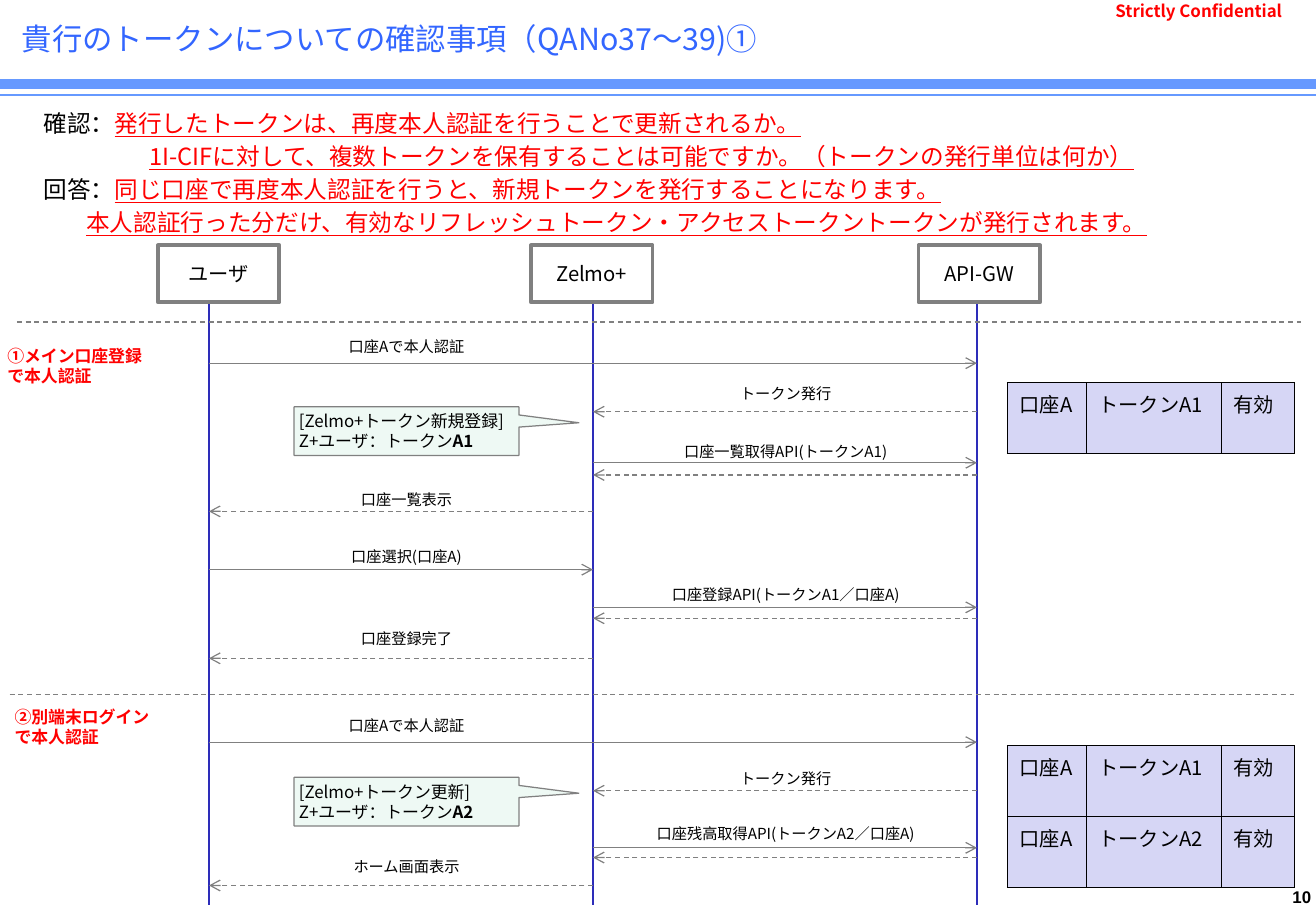
from pptx import Presentation
from pptx.dml.color import RGBColor
from pptx.enum.dml import MSO_LINE
from pptx.enum.shapes import MSO_CONNECTOR, MSO_SHAPE
from pptx.enum.text import MSO_ANCHOR, MSO_AUTO_SIZE, PP_ALIGN
from pptx.oxml.ns import qn
from pptx.util import Inches, Pt
from lxml import etree

STRAIGHT = MSO_CONNECTOR.STRAIGHT
RECTANGLE, CALLOUT = MSO_SHAPE.RECTANGLE, MSO_SHAPE.RECTANGULAR_CALLOUT
DASH = MSO_LINE.DASH
TOP, MIDDLE = MSO_ANCHOR.TOP, MSO_ANCHOR.MIDDLE
LEFT, CENTER, RIGHT, JUSTIFY = PP_ALIGN.LEFT, PP_ALIGN.CENTER, PP_ALIGN.RIGHT, PP_ALIGN.JUSTIFY
NO_FIT = MSO_AUTO_SIZE.NONE

BLACK = RGBColor(0x00, 0x00, 0x00)
WHITE = RGBColor(0xFF, 0xFF, 0xFF)
RED = RGBColor(0xFF, 0x00, 0x00)
GREY = RGBColor(0x80, 0x80, 0x80)
TITLE_BLUE = RGBColor(0x33, 0x66, 0xFF)
RULE_BLUE = RGBColor(0x66, 0x99, 0xFF)
LIFELINE_BLUE = RGBColor(0x2D, 0x2D, 0xB9)
NOTE_GREEN = RGBColor(0xEE, 0xF9, 0xF4)
CELL_LILAC = RGBColor(0xD6, 0xD6, 0xF5)

FONT = "Noto Sans CJK JP"
WIDTH, HEIGHT = 10.83, 7.5
LANE_LEFT, LANE_STEP = 1.72, 3.16
LABEL_LEFT, LABEL_STEP = 2.42, 3.12
LABEL_WIDTH, LABEL_HEIGHT = 1.85, 0.24
USER, WALLET, GATEWAY = range(3)

ACTORS = [("ユーザ", 1.3), ("Zelmo+", 4.37), ("API-GW", 7.56)]
QUESTIONS = [
    ("確認：", "発行したトークンは、再度本人認証を行うことで更新されるか。", 0),
    ("", "1I-CIFに対して、複数トークンを保有することは可能ですか。（トークンの発行単位は何か）", 0.87),
    ("回答：", "同じ口座で再度本人認証を行うと、新規トークンを発行することになります。", 0),
    ("", "本人認証行った分だけ、有効なリフレッシュトークン・アクセストークントークンが発行されます。", 0.35),
]
MESSAGES = [
    (USER, GATEWAY, 2.99, "口座Aで本人認証", 2.73),
    (GATEWAY, WALLET, 3.39, "トークン発行", 3.12),
    (WALLET, GATEWAY, 3.81, "口座一覧取得API(トークンA1)", 3.6),
    (GATEWAY, WALLET, 3.91, "", 0),
    (WALLET, USER, 4.21, "口座一覧表示", 3.99),
    (USER, WALLET, 4.69, "口座選択(口座A)", 4.46),
    (WALLET, GATEWAY, 5, "口座登録API(トークンA1／口座A)", 4.77),
    (GATEWAY, WALLET, 5.09, "", 0),
    (WALLET, USER, 5.42, "口座登録完了", 5.14),
    (USER, GATEWAY, 6.11, "口座Aで本人認証", 5.85),
    (GATEWAY, WALLET, 6.51, "トークン発行", 6.29),
    (WALLET, GATEWAY, 6.98, "口座残高取得API(トークンA2／口座A)", 6.74),
    (GATEWAY, WALLET, 7.06, "", 0),
    (WALLET, USER, 7.29, "ホーム画面表示", 7.01),
]
PHASES = [("①メイン口座登録で本人認証", 0.02, 2.81, 0.14, 2.65),
          ("②別端末ログインで本人認証", 0.08, 5.78, 0.08, 5.72)]
NOTES = [("[Zelmo+トークン新規登録]", "A1", 3.35), ("[Zelmo+トークン更新]", "A2", 6.4)]
TOKEN_TABLES = [(["A1"], 3.15), (["A1", "A2"], 6.14)]


def inches(*lengths):
    return [Inches(length) for length in lengths]


def lane(number):
    return LANE_LEFT + number * LANE_STEP


def style(span, size, color=BLACK, bold=False, underline=False, font=FONT):
    span.font.size, span.font.bold, span.font.underline = Pt(size), bold, underline
    span.font.color.rgb, span.font.name = color, font
    east_asian = etree.Element(qn("a:ea"), typeface=font)
    span.font._element.find(qn("a:latin")).addnext(east_asian)


def set_frame(frame, anchor, inset_x, inset_y, wrap):
    frame.auto_size, frame.word_wrap, frame.vertical_anchor = NO_FIT, wrap, anchor
    frame.margin_left = frame.margin_right = Inches(inset_x)
    frame.margin_top = frame.margin_bottom = Inches(inset_y)


def add_text(page, place, text, size, color=BLACK, bold=False, align=LEFT,
             anchor=TOP, inset=(0.04, 0.04), wrap=True, font=FONT):
    box = page.shapes.add_textbox(*inches(*place))
    set_frame(box.text_frame, anchor, *inset, wrap)
    box.text_frame.text = text
    para = box.text_frame.paragraphs[0]
    para.alignment = align
    style(para.runs[0], size, color, bold, font=font)
    return para


def add_panel(page, kind, place, fill, weight):
    panel = page.shapes.add_shape(kind, *inches(*place))
    panel.shadow.inherit = False
    panel.fill.solid()
    panel.fill.fore_color.rgb = fill
    panel.line.color.rgb, panel.line.width = GREY, Pt(weight)
    set_frame(panel.text_frame, MIDDLE, 0.04, 0.04, False)
    return panel


def add_line(page, start, end, color=GREY, weight=0.75, dashed=False, arrow=False):
    line = page.shapes.add_connector(STRAIGHT, *inches(*start, *end))
    line.line.color.rgb, line.line.width = color, Pt(weight)
    if dashed:
        line.line.dash_style = DASH
    if arrow:
        etree.SubElement(line.line._get_or_add_ln(), qn("a:tailEnd"), type="arrow")
    etree.SubElement(line._element.spPr, qn("a:effectLst"))


def add_title(page):
    title = page.shapes.title
    title.left, title.top, title.width, title.height = inches(0.08, 0.06, 10.38, 0.51)
    set_frame(title.text_frame, MIDDLE, 0.1, 0.05, True)
    title.text_frame.text = "貴行のトークンについての確認事項（QANo37～39)①"
    para = title.text_frame.paragraphs[0]
    para.alignment = LEFT
    style(para.runs[0], 18, TITLE_BLUE)


def add_questions(page):
    box = page.shapes.add_textbox(*inches(0.26, 0.85, 10.32, 0.63))
    frame = box.text_frame
    set_frame(frame, TOP, 0.1, 0.05, True)
    frame.text = "\n".join(lead for lead, _, _ in QUESTIONS)
    for number, (para, (_, body, indent)) in enumerate(zip(frame.paragraphs, QUESTIONS)):
        para.line_spacing = Pt(16.75)
        para.space_before = Pt(2.8 if number else 0)
        para._p.get_or_add_pPr().set("marL", str(Inches(indent)))
        for span in para.runs:
            style(span, 14)
        span = para.add_run()
        span.text = body
        style(span, 14, RED, underline=True)


def add_actor(page, number, name, left):
    add_line(page, (lane(number), 2.49), (lane(number), 7.45), LIFELINE_BLUE)
    head = add_panel(page, RECTANGLE, (left, 2.02, 1, 0.47), WHITE, 2.25)
    head.text_frame.text = name
    para = head.text_frame.paragraphs[0]
    para.alignment = CENTER
    style(para.runs[0], 12)


def add_message(page, source, target, row, text, label_row):
    add_line(page, (lane(source), row), (lane(target), row), dashed=target < source, arrow=True)
    if text:
        left = LABEL_LEFT + min(source, target) * LABEL_STEP
        add_text(page, (left, label_row, LABEL_WIDTH, LABEL_HEIGHT), text, 9,
                 align=CENTER, anchor=MIDDLE, inset=(0, 0), wrap=False)


def add_phase(page, text, left, top, rule_left, rule_row):
    add_line(page, (rule_left, rule_row), (rule_left + 10.57, rule_row), dashed=True)
    para = add_text(page, (left, top, 1.31, 0.34), text, 10, RED, True)
    para.line_spacing = Pt(11.85)


def add_note(page, heading, token, top):
    note = add_panel(page, CALLOUT, (LABEL_LEFT, top, LABEL_WIDTH, 0.4), NOTE_GREEN, 0.75)
    note.adjustments[0], note.adjustments[1] = 0.767, -0.173
    note.text_frame.text = heading + "\nZ+ユーザ：トークン"
    note.text_frame.paragraphs[1].add_run().text = token
    for para in note.text_frame.paragraphs:
        para.alignment, para.line_spacing = LEFT, Pt(11.85)
        for span in para.runs:
            style(span, 10, bold=span.text == token)


def format_cell(cell, text):
    cell.text = text
    cell.fill.solid()
    cell.fill.fore_color.rgb = CELL_LILAC
    style(cell.text_frame.paragraphs[0].runs[0], 12)
    properties = cell._tc.get_or_add_tcPr()
    for position, side in enumerate(("a:lnL", "a:lnR", "a:lnT", "a:lnB")):
        border = etree.Element(qn(side), w=str(Pt(0.5)))
        fill = etree.SubElement(border, qn("a:solidFill"))
        etree.SubElement(fill, qn("a:srgbClr"), val=str(BLACK))
        properties.insert(position, border)


def add_token_table(page, tokens, top):
    place = inches(8.29, top, 2.36, 0.41 * len(tokens))
    table = page.shapes.add_table(len(tokens), 3, *place).table
    table.first_row = table.horz_banding = False
    for column, width in zip(table.columns, (0.65, 1.11, 0.6)):
        column.width = Inches(width)
    for row, token in enumerate(tokens):
        for column, text in enumerate(("口座A", "トークン" + token, "有効")):
            format_cell(table.cell(row, column), text)


def main():
    deck = Presentation()
    deck.slide_width, deck.slide_height = inches(WIDTH, HEIGHT)
    page = deck.slides.add_slide(deck.slide_layouts[5])
    for row, weight in ((0.69, 6), (0.78, 1)):
        add_line(page, (0, row), (WIDTH, row), RULE_BLUE, weight)
    add_text(page, (10.51, 7.26, 0.32, 0.25), "10", 10, bold=True, align=RIGHT,
             wrap=False, font="Arial")
    add_text(page, (9.1, 0.04, 1.76, 0.1), "Strictly Confidential", 10, RED, True,
             JUSTIFY, MIDDLE, (0.08, 0.04))
    add_title(page)
    add_questions(page)
    for number, actor in enumerate(ACTORS):
        add_actor(page, number, *actor)
    for add_part, entries in ((add_message, MESSAGES), (add_phase, PHASES),
                              (add_note, NOTES), (add_token_table, TOKEN_TABLES)):
        for entry in entries:
            add_part(page, *entry)
    deck.save("out.pptx")


if __name__ == "__main__":
    main()
